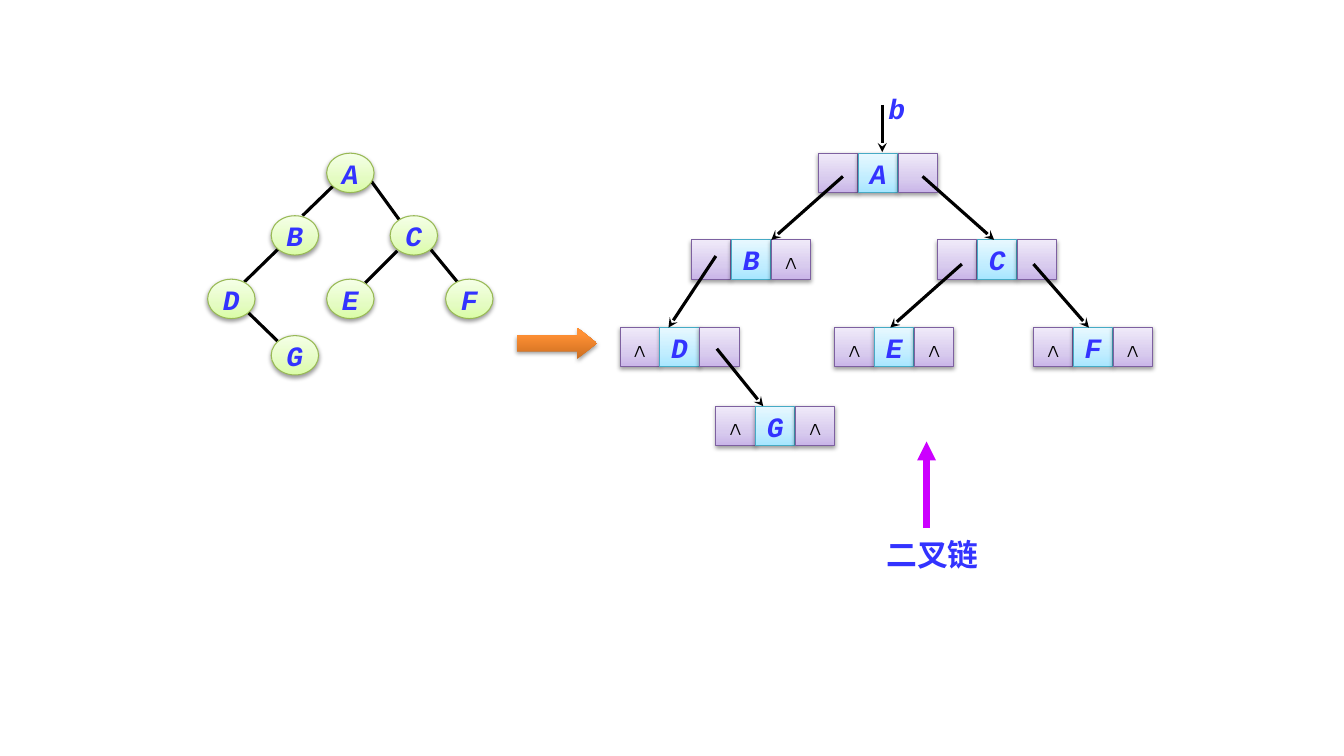
from copy import deepcopy

from pptx import Presentation
from pptx.dml.color import RGBColor
from pptx.enum.shapes import MSO_CONNECTOR, MSO_SHAPE
from pptx.enum.text import MSO_ANCHOR, PP_ALIGN
from pptx.oxml.ns import qn
from pptx.oxml.xmlchemy import OxmlElement as Element
from pptx.util import Inches, Pt

COLORS = {"label": "3333FF", "black": "000000", "pointer": "CC00FF",
          "green_line": "98B955", "purple_line": "7D60A0", "cyan_line": "46AAC5"}
GRADIENTS = {
    "green": [(0, "DAFDA7"), (0.35, "E4FCC2"), (1, "F5FFE7")],
    "purple": [(0, "C9B5E8"), (0.35, "D8CBEE"), (1, "F0EAF9")],
    "cyan": [(0, "A7E6FF"), (0.35, "C1EDFF"), (1, "E7F8FF")],
    "orange": [(0, "CC6E20"), (0.8, "FF9034"), (1, "FF9136")],
}
NULL = "∧"

prs = Presentation()
prs.slide_width, prs.slide_height = Inches(13.33), Inches(7.5)
slide = prs.slides.add_slide(prs.slide_layouts[6])


def add_block(kind, left, top, width, height, tint, text=""):
    """Shape with an upward gradient, a soft shadow and a centred label."""
    block = slide.shapes.add_shape(kind, Inches(left), Inches(top), Inches(width), Inches(height))
    block.fill.gradient()
    block.fill.gradient_angle = 90
    stop_list = block._element.spPr.find(".//" + qn("a:gsLst"))
    stop_list.append(deepcopy(stop_list[-1]))
    for stop, (position, color) in zip(block.fill.gradient_stops, GRADIENTS[tint]):
        stop.position = position
        stop.color.rgb = RGBColor.from_string(color)
    if tint + "_line" in COLORS:
        block.line.color.rgb = RGBColor.from_string(COLORS[tint + "_line"])
        block.line.width = Pt(0.75)
    else:
        block.line.fill.background()

    # Shadow straight below
    block.shadow.inherit = False
    shadow = Element("a:outerShdw")
    for key, value in (("blurRad", Pt(3.1)), ("dist", Pt(1.6)), ("dir", 5400000), ("rotWithShape", 0)):
        shadow.set(key, str(value))
    shade, alpha = Element("a:srgbClr"), Element("a:alpha")
    shade.set("val", COLORS["black"])
    alpha.set("val", "38000")
    shade.append(alpha)
    shadow.append(shade)
    block._element.spPr.find(qn("a:effectLst")).append(shadow)

    if text:
        frame = block.text_frame
        frame.text = text
        frame.word_wrap = False
        frame.vertical_anchor = MSO_ANCHOR.MIDDLE
        frame.paragraphs[0].alignment = PP_ALIGN.CENTER
        font = frame.paragraphs[0].runs[0].font
        font.name, font.bold, font.italic = "Courier New", True, text != NULL
        font.size = Pt(18 if text == NULL else 20)
        font.color.rgb = RGBColor.from_string(COLORS["black" if text == NULL else "label"])
    return block


def add_line(start, end, head=None, color="black", width=2.25):
    line = slide.shapes.add_connector(MSO_CONNECTOR.STRAIGHT, *map(Inches, start + end))
    line.line.color.rgb = RGBColor.from_string(COLORS[color])
    line.line.width = Pt(width)
    if head:
        tip = Element("a:tailEnd")
        tip.set("type", head)
        line.line._get_or_add_ln().append(tip)
    line._element.spPr.append(Element("a:effectLst"))


# Binary tree: edges behind the nodes
tree_edges = [
    ((2.45, 3.09), (2.77, 3.4)), ((3.32, 1.83), (3, 2.14)),
    ((3.67, 1.78), (3.96, 2.18)), ((2.77, 2.46), (2.37, 2.85)),
    ((3.94, 2.49), (3.62, 2.81)), ((4.26, 2.46), (4.58, 2.85)),
]
for start, end in tree_edges:
    add_line(start, end)

tree_nodes = {"A": (3.24, 1.52), "B": (2.69, 2.14), "C": (3.87, 2.14), "D": (2.06, 2.77),
              "E": (3.24, 2.77), "G": (2.69, 3.33), "F": (4.42, 2.77)}
for letter, (left, top) in tree_nodes.items():
    add_block(MSO_SHAPE.OVAL, left, top, 0.47, 0.39, "green", letter)

# Arrow from the tree to its linked storage
conversion = add_block(MSO_SHAPE.RIGHT_ARROW, 5.13, 3.25, 0.79, 0.31, "orange")
conversion.adjustments[1] = 0.63

# Linked nodes: left pointer, data, right pointer
CELL, PITCH = 0.39, 0.79 / 2
linked_nodes = [
    (8.12, 1.52, ("", "A", "")),
    (6.86, 2.38, ("", "B", NULL)),
    (6.15, 3.25, (NULL, "D", "")),
    (7.1, 4.03, (NULL, "G", NULL)),
    (9.3, 2.38, ("", "C", "")),
    (8.28, 3.25, (NULL, "E", NULL)),
    (10.25, 3.25, (NULL, "F", NULL)),
]
for left, top, fields in linked_nodes:
    for column, (field, tint) in enumerate(zip(fields, ("purple", "cyan", "purple"))):
        add_block(MSO_SHAPE.RECTANGLE, left + column * PITCH, top, CELL, CELL, tint, field)

# Child pointers, then the root pointer
links = [
    ((8.36, 1.75), (7.65, 2.38)), ((7.1, 2.54), (6.63, 3.25)),
    ((9.15, 1.75), (9.86, 2.38)), ((7.11, 3.46), (7.57, 4.03)),
    ((9.54, 2.62), (8.83, 3.25)), ((10.25, 2.62), (10.8, 3.25)),
    ((8.75, 1.04), (8.75, 1.51)),
]
for start, end in links:
    add_line(start, end, "stealth")

# Root name and caption
captions = [
    ("b", 8.54, 0.86, 0.71, 0.43, "Courier New", 20, True),
    ("二叉链", 8.5, 5.27, 1.5, 0.47, "Noto Sans CJK SC", 22, False),
]
for text, left, top, width, height, typeface, size, italic in captions:
    caption = slide.shapes.add_textbox(Inches(left), Inches(top), Inches(width), Inches(height))
    caption.text_frame.word_wrap = True
    paragraph = caption.text_frame.paragraphs[0]
    paragraph.text = text
    paragraph.alignment = PP_ALIGN.CENTER
    font = paragraph.runs[0].font
    font.name, font.size, font.bold, font.italic = typeface, Pt(size), True, italic
    font.color.rgb = RGBColor.from_string(COLORS["label"])
    east_asian = Element("a:ea")
    east_asian.set("typeface", typeface)
    font._element.append(east_asian)
add_line((9.19, 5.24), (9.19, 4.38), "triangle", "pointer", 4.5)

prs.save("out.pptx")
